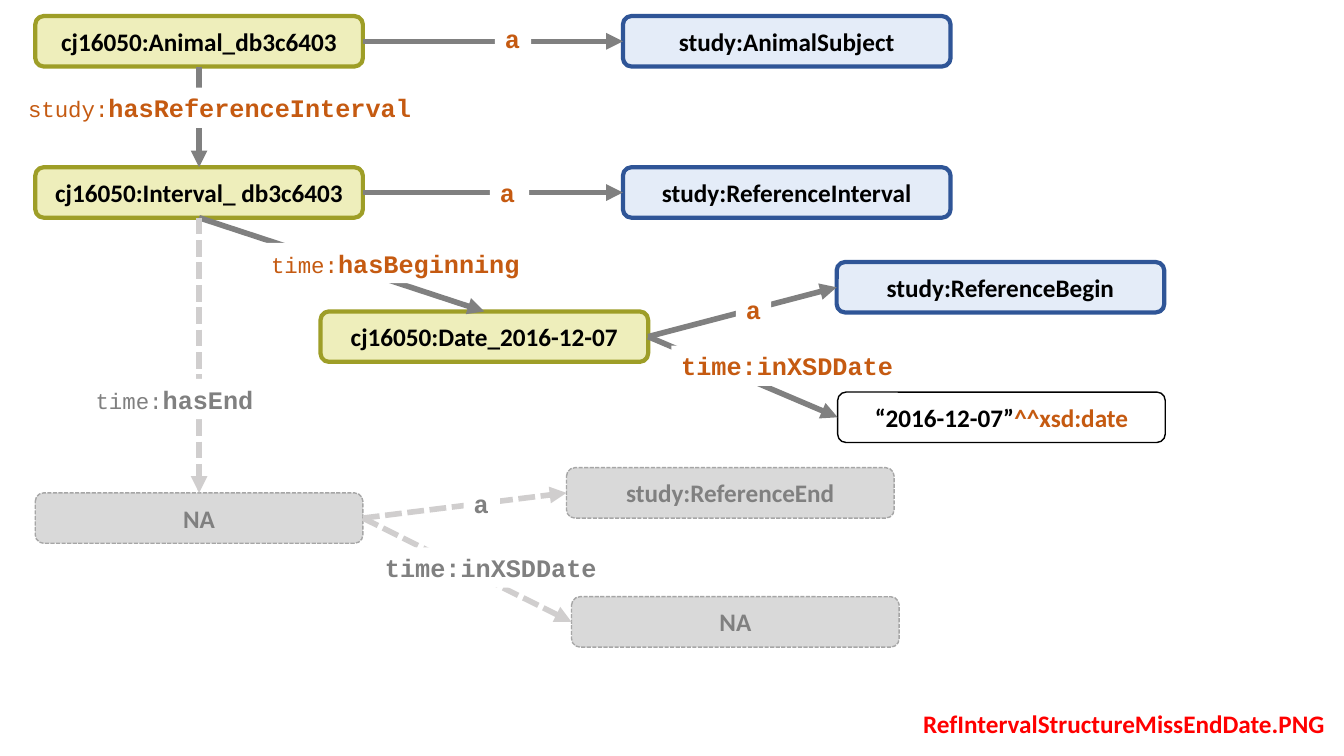
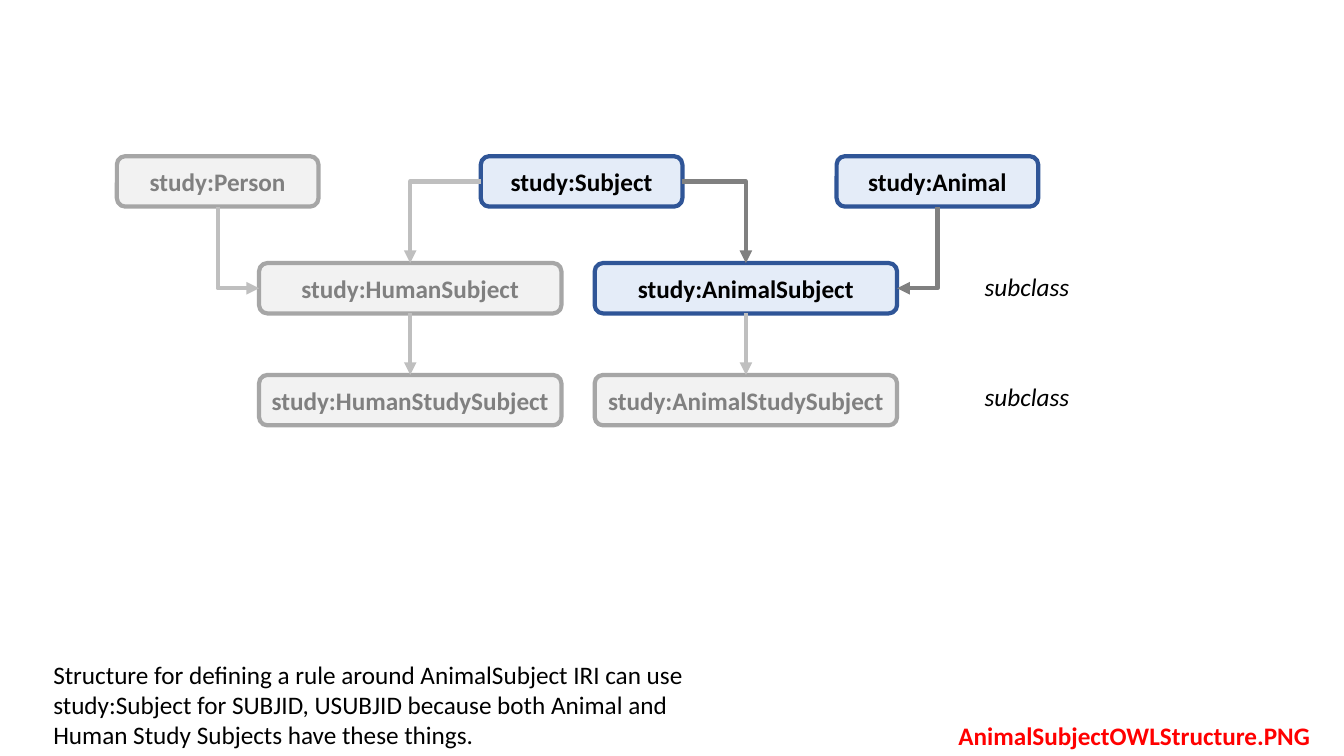
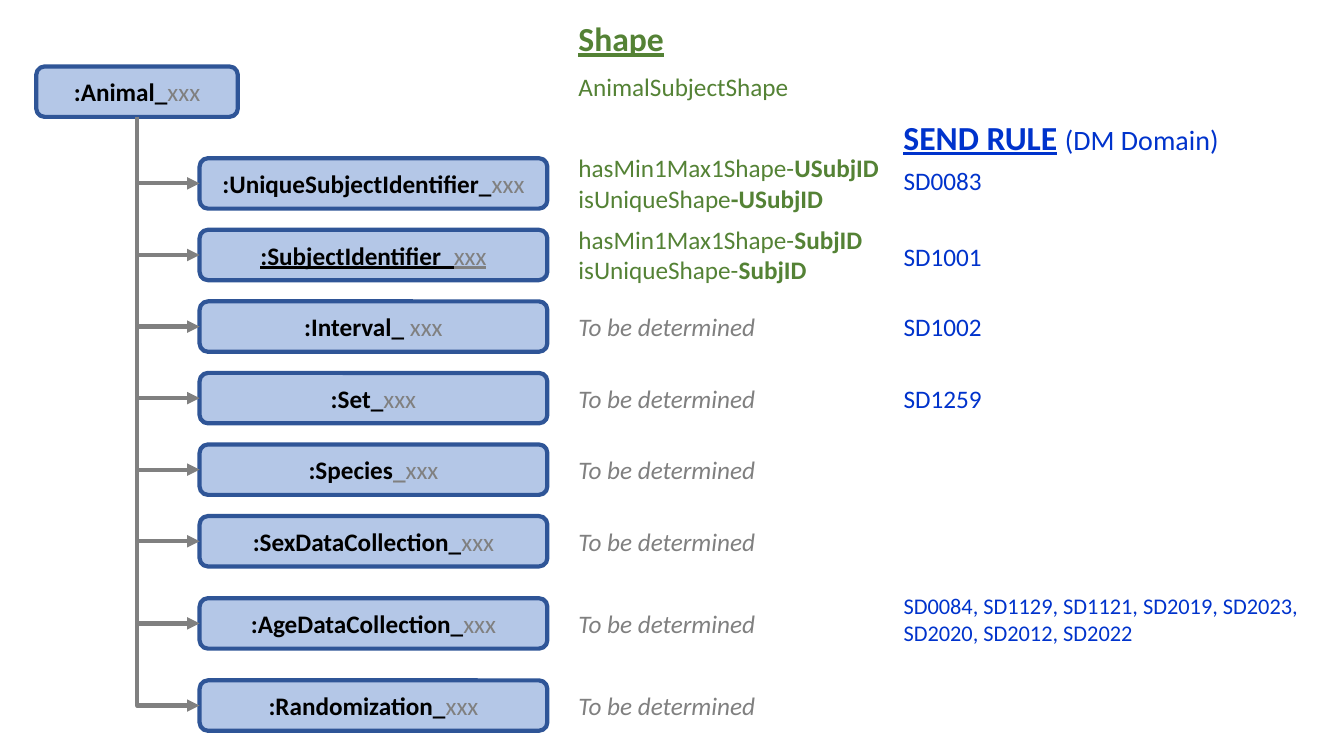
import dataclasses

import pptx
import pptx.dml.color
import pptx.enum.dml
import pptx.enum.shapes
import pptx.enum.text
import pptx.oxml
import pptx.oxml.ns
import pptx.util

# The layout grid has square cells; every position is given in columns and rows.
CELL = pptx.util.Inches(0.1)
COLUMNS, ROWS = 133.33, 75
BOX_ROWS = 5
TEXT_ROWS = 4
TOP, LEFT, BOTTOM, RIGHT = range(4)

BLACK, WHITE, GREY, RED = "000000", "FFFFFF", "808080", "FF0000"
ORANGE, GREEN, BLUE = "C55A11", "548235", "0033CC"
PALE_ARROW, DASHED_ARROW = "BFBFBF", "D0CECE"


@dataclasses.dataclass(frozen=True)
class Type:
    color: str = BLACK
    size: int = 18
    bold: bool = False
    italic: bool = False
    underline: bool = False
    font: str = "Calibri"


@dataclasses.dataclass(frozen=True)
class Look:
    """Fill, outline and text colour of a node."""
    fill: str
    outline: str
    weight: float = 3
    dashed: bool = False
    text: str = BLACK


INSTANCE = Look("EEEEBB", "9E9E27")
CLASS = Look("E4ECF8", "2F5597")
PROPERTY = Look("B4C7E7", "2F5597")
MISSING = Look("D9D9D9", "A6A6A6", 1, True, GREY)
INACTIVE = Look("F2F2F2", "A6A6A6", text=GREY)
LITERAL = Look(WHITE, BLACK, 1)


def cells(*counts):
    return [round(count * CELL) for count in counts]


def rgb(color):
    return pptx.dml.color.RGBColor.from_string(color)


def style_line(line, color, weight, dashed=False):
    line.color.rgb = rgb(color)
    line.width = pptx.util.Pt(weight)
    if dashed:
        line.dash_style = pptx.enum.dml.MSO_LINE.SQUARE_DOT


def write(frame, paragraphs, align):
    """Fill a text frame with paragraphs, each a list of (text, Type) runs."""
    for index, runs in enumerate(paragraphs):
        paragraph = frame.add_paragraph() if index else frame.paragraphs[0]
        paragraph.alignment = align
        for text, kind in runs:
            run = paragraph.add_run()
            run.text = text
            font = run.font
            font.name, font.size = kind.font, pptx.util.Pt(kind.size)
            font.bold, font.italic = kind.bold, kind.italic
            font.underline = kind.underline
            font.color.rgb = rgb(kind.color)


def add_node(slide, column, row, columns, look, content):
    """Add a rounded box; content is a string or a list of runs."""
    node = slide.shapes.add_shape(
        pptx.enum.shapes.MSO_SHAPE.ROUNDED_RECTANGLE,
        *cells(column, row, columns, BOX_ROWS))
    node.shadow.inherit = False
    node.fill.solid()
    node.fill.fore_color.rgb = rgb(look.fill)
    style_line(node.line, look.outline, look.weight, look.dashed)
    node.text_frame.vertical_anchor = pptx.enum.text.MSO_ANCHOR.MIDDLE
    if isinstance(content, str):
        content = [(content, Type(look.text, bold=True))]
    write(node.text_frame, [content], pptx.enum.text.PP_ALIGN.CENTER)
    return node


def add_text(slide, column, row, columns, paragraphs, rows=TEXT_ROWS,
             wrap=False, fill=None):
    box = slide.shapes.add_textbox(*cells(column, row, columns, rows))
    if fill:
        box.fill.solid()
        box.fill.fore_color.rgb = rgb(fill)
    box.text_frame.word_wrap = wrap
    box.text_frame.auto_size = pptx.enum.text.MSO_AUTO_SIZE.SHAPE_TO_FIT_TEXT
    write(box.text_frame, paragraphs, pptx.enum.text.PP_ALIGN.LEFT)


def add_predicate(slide, column, row, columns, name, color=ORANGE, prefix=""):
    """Add the white label that interrupts an arrow."""
    code = Type(color, bold=True, font="Courier New")
    runs = [(name, code)]
    if prefix:
        runs.insert(0, (prefix, dataclasses.replace(code, size=16, bold=False)))
    add_text(slide, column, row, columns, [runs], wrap=True, fill=WHITE)


def add_file_name(slide, column, row, columns, name):
    add_text(slide, column, row, columns, [[(name, Type(RED, bold=True))]],
             wrap=True)


def join(slide, kind, start, start_side, end, end_side, color, weight, dashed):
    link = slide.shapes.add_connector(kind, 0, 0, 0, 0)
    link.begin_connect(start, start_side)
    link.end_connect(end, end_side)
    style_line(link.line, color, weight, dashed)
    arrowhead = pptx.oxml.parse_xml(
        f'<a:tailEnd {pptx.oxml.ns.nsdecls("a")} type="triangle"/>')
    link.line._get_or_add_ln().append(arrowhead)
    link.element.spPr.append(
        pptx.oxml.parse_xml(f'<a:effectLst {pptx.oxml.ns.nsdecls("a")}/>'))
    return link


def add_arrow(slide, start, start_side, end, end_side, color=GREY, weight=4,
              dashed=False):
    join(slide, pptx.enum.shapes.MSO_CONNECTOR.STRAIGHT,
         start, start_side, end, end_side, color, weight, dashed)


def add_elbow(slide, start, start_side, end, end_side, color=GREY):
    """Add an arrow with a single right-angled turn."""
    link = join(slide, pptx.enum.shapes.MSO_CONNECTOR.ELBOW,
                start, start_side, end, end_side, color, 3, False)
    properties = link.element.spPr
    properties.find(pptx.oxml.ns.qn("a:prstGeom")).set("prst", "bentConnector2")
    if start_side != BOTTOM:
        return
    # The preset runs sideways first, so a downward start needs a quarter turn.
    rightward = link.end_x > link.begin_x
    left, top, width, height = link.left, link.top, link.width, link.height
    link.left = left + (width - height) // 2
    link.top = top + (height - width) // 2
    link.width, link.height = height, width
    frame = properties.find(pptx.oxml.ns.qn("a:xfrm"))
    frame.set("rot", str((270 if rightward else 90) * 60000))
    frame.set("flipH", "1" if rightward else "0")


def build_interval_slide(slide):
    width = 32.5
    left, middle, right = 3.5, 61.8, 83

    def node(column, row, look, content):
        return add_node(slide, column, row, width, look, content)

    animal = node(left, 1.6, INSTANCE, "cj16050:Animal_db3c6403")
    interval = node(left, 16.6, INSTANCE, "cj16050:Interval_ db3c6403")
    date = node(31.8, 30.9, INSTANCE, "cj16050:Date_2016-12-07")
    subject = node(middle, 1.6, CLASS, "study:AnimalSubject")
    reference = node(middle, 16.6, CLASS, "study:ReferenceInterval")
    begin = node(right, 26, CLASS, "study:ReferenceBegin")
    literal = node(right + 0.1, 38.9, LITERAL, [
        ("“2016-12-07”", Type(bold=True)),
        ("^^xsd:date", Type(ORANGE, bold=True))])
    end = node(left, 48.9, MISSING, "NA")
    end_class = node(56.2, 46.4, MISSING, "study:ReferenceEnd")
    end_date = node(56.7, 59.2, MISSING, "NA")

    for start, start_side, target, target_side in [
            (animal, RIGHT, subject, LEFT),
            (animal, BOTTOM, interval, TOP),
            (interval, RIGHT, reference, LEFT),
            (interval, BOTTOM, date, TOP),
            (date, RIGHT, begin, LEFT),
            (date, RIGHT, literal, LEFT)]:
        add_arrow(slide, start, start_side, target, target_side)
    for start, start_side, target, target_side in [
            (interval, BOTTOM, end, TOP),
            (end, RIGHT, end_class, LEFT),
            (end, RIGHT, end_date, LEFT)]:
        add_arrow(slide, start, start_side, target, target_side,
                  DASHED_ARROW, dashed=True)

    add_predicate(slide, 1.8, 8.7, 42, "hasReferenceInterval", prefix="study:")
    add_predicate(slide, 25.9, 24.1, 28.5, "hasBeginning", prefix="time:")
    add_predicate(slide, 8.5, 37.6, 28.5, "hasEnd", GREY, "time:")
    for column, row, columns, color in [
            (49.1, 1.8, 3.6, ORANGE), (48.6, 17.1, 3.9, ORANGE),
            (73, 28.7, 3.5, ORANGE), (46, 48, 3.6, GREY)]:
        add_predicate(slide, column, row, columns, "a", color)
    for column, row, color in [(66.6, 34.3, ORANGE), (37.2, 54.3, GREY)]:
        add_predicate(slide, column, row, 23.1, "time:inXSDDate", color)
    add_file_name(slide, 90.6, 69.8, 44.9, "RefIntervalStructureMissEndDate.PNG")


def build_subject_slide(slide):
    parent_width, child_width = 20, 30
    parent_row, subject_row, study_row = 15.5, 26.1, 37.2
    human_column, animal_column = 25.7, 59

    person = add_node(slide, 11.6, parent_row, parent_width, INACTIVE,
                      "study:Person")
    subject = add_node(slide, 47.7, parent_row, parent_width, CLASS,
                       "study:Subject")
    animal = add_node(slide, 83, parent_row, parent_width, CLASS,
                      "study:Animal")
    human_subject = add_node(slide, human_column, subject_row, child_width,
                             INACTIVE, "study:HumanSubject")
    animal_subject = add_node(slide, animal_column, subject_row, child_width,
                              CLASS, "study:AnimalSubject")
    human_study = add_node(slide, human_column, study_row, child_width,
                           INACTIVE, "study:HumanStudySubject")
    animal_study = add_node(slide, animal_column, study_row, child_width,
                            INACTIVE, "study:AnimalStudySubject")

    add_elbow(slide, person, BOTTOM, human_subject, LEFT, PALE_ARROW)
    add_elbow(slide, subject, LEFT, human_subject, TOP, PALE_ARROW)
    add_elbow(slide, subject, RIGHT, animal_subject, TOP)
    add_elbow(slide, animal, BOTTOM, animal_subject, RIGHT)
    for parent, child in [(human_subject, human_study),
                          (animal_subject, animal_study)]:
        add_arrow(slide, parent, BOTTOM, child, TOP, PALE_ARROW, 3)

    for row in (26.4, 37.3):
        add_text(slide, 96.7, row, 10.5, [[("subclass", Type(italic=True))]])
    add_text(slide, 4.3, 64.9, 64.9, [[(
        "Structure for defining a rule around AnimalSubject IRI can use "
        "study:Subject for SUBJID, USUBJID because both Animal and Human "
        "Study Subjects have these things.", Type())]], rows=10.1, wrap=True)
    add_file_name(slide, 94.1, 71, 37.8, "AnimalSubjectOWLStructure.PNG")


def build_shape_slide(slide):
    property_column, property_width = 19.8, 34.5
    shape_column, rule_column = 56.4, 88.65
    first_row, pitch, wide_pitch, close_rows = 15.7, 7.1, 8.15, 6
    strong, faint = Type(bold=True), Type(GREY)
    green, strong_green = Type(GREEN), Type(GREEN, bold=True)
    underlined = dataclasses.replace(strong, underline=True)
    underlined_faint = dataclasses.replace(faint, underline=True)

    def named(name):
        return [(name, strong), ("xxx", faint)]

    def constraints(identifier, unique_runs):
        return [[("hasMin1Max1Shape-", green), (identifier, strong_green)],
                unique_runs]

    undecided = [[("To be determined", Type(GREY, italic=True))]]
    properties = [
        (named(":UniqueSubjectIdentifier_"), 31.9,
         constraints("USubjID", [("isUniqueShape", green),
                                 ("-USubjID", strong_green)])),
        ([(":SubjectIdentifier_", underlined), ("xxx", underlined_faint)], 30.3,
         constraints("SubjID", [("isUniqueShape-", green),
                                ("SubjID", strong_green)])),
        ([(":Interval_", strong), (" xxx", faint)], 20.2, undecided),
        (named(":Set_"), 20.2, undecided),
        ([(":Species", strong), ("_", Type(GREY, bold=True)), ("xxx", faint)],
         20.2, undecided),
        (named(":SexDataCollection_"), 20.2, undecided),
        (named(":AgeDataCollection_"), 20.2, undecided),
        (named(":Randomization_"), 20.2, undecided),
    ]

    animal = add_node(slide, 3.6, 6.6, 20, PROPERTY, named(":Animal_"))
    for index, (runs, shape_width, shape_lines) in enumerate(properties):
        wide_steps = max(0, index - close_rows + 1)
        row = first_row + (index - wide_steps) * pitch + wide_steps * wide_pitch
        node = add_node(slide, property_column, row, property_width, PROPERTY,
                        runs)
        add_elbow(slide, animal, BOTTOM, node, LEFT)
        rows = TEXT_ROWS if len(shape_lines) == 1 else 7.1
        add_text(slide, shape_column, row + (BOX_ROWS - rows) / 2, shape_width,
                 shape_lines, rows)

    add_text(slide, shape_column, 1.3, 10.6,
             [[("Shape", Type(GREEN, 24, bold=True, underline=True))]], 5)
    add_text(slide, shape_column, 6.6, 23.1, [[("AnimalSubjectShape", green)]])
    add_text(slide, rule_column, 11.1, 33.6, [[
        ("SEND RULE", Type(BLUE, 24, bold=True, underline=True)),
        (" ", Type(BLUE, 24, bold=True)),
        ("(DM Domain)", Type(BLUE, 20))]], 5)
    for row, rule in [(15.9, "SD0083"), (23.4, "SD1001"),
                      (30.4, "SD1002"), (37.5, "SD1259")]:
        add_text(slide, rule_column, row, 9.9, [[(rule, Type(BLUE))]])
    add_text(slide, rule_column, 58.3, 46.5, [
        [(line, Type(BLUE, 16))] for line in (
            "SD0084, SD1129, SD1121, SD2019, SD2023,",
            "SD2020, SD2012, SD2022")], rows=6.4, wrap=True)


def main():
    deck = pptx.Presentation()
    deck.slide_width, deck.slide_height = cells(COLUMNS, ROWS)
    blank = deck.slide_layouts[6]
    for build in (build_interval_slide, build_subject_slide, build_shape_slide):
        build(deck.slides.add_slide(blank))
    deck.save("out.pptx")


if __name__ == "__main__":
    main()
